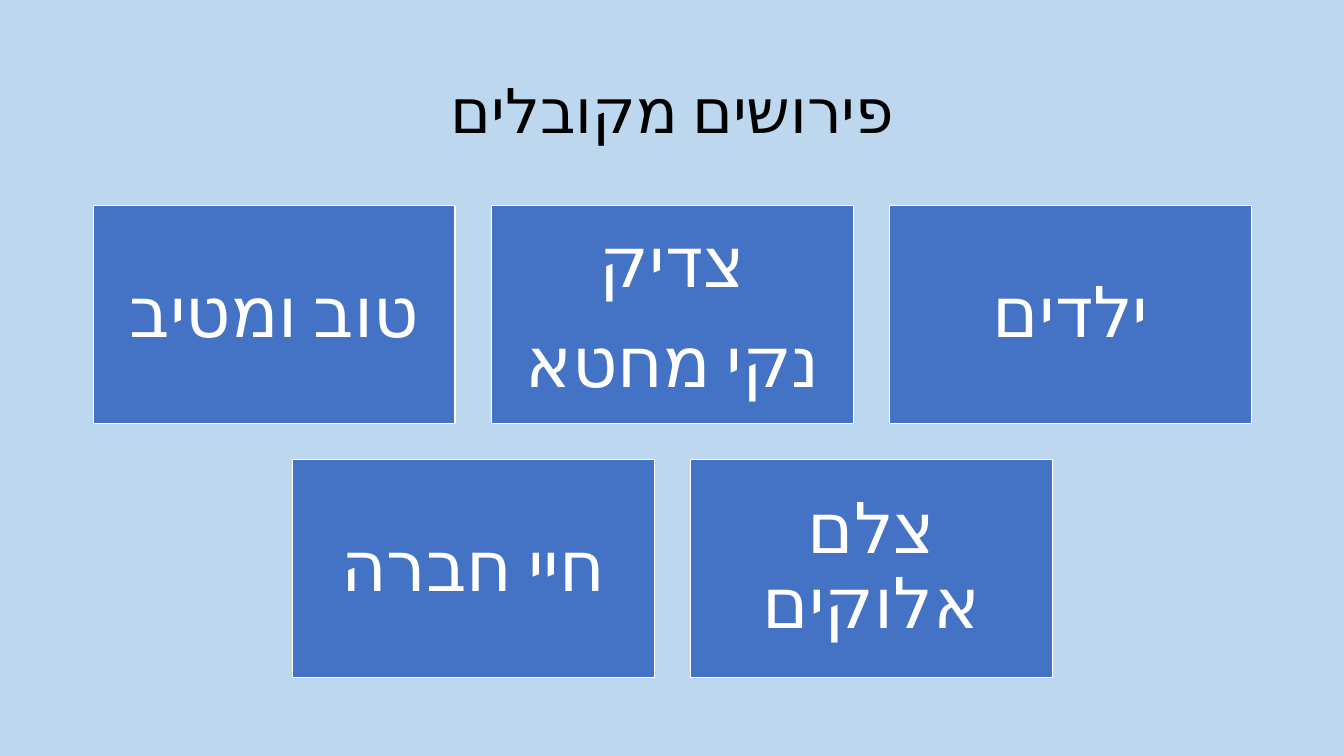
from lxml.etree import SubElement as Sub
from pptx import Presentation
from pptx.dml.color import RGBColor as Rgb
from pptx.enum.shapes import MSO_SHAPE as Kind
from pptx.enum.text import MSO_ANCHOR as Anchor, PP_ALIGN as Align
from pptx.oxml.ns import qn
from pptx.util import Inches, Pt

HUES = {"back": "BDD7EE", "card": "4472C4", "white": "FFFFFF", "black": "000000"}
FONT = "Calibri"
ROWS = [
    ["טוב ומטיב", "צדיק\nנקי מחטא", "ילדים"],
    ["חיי חברה", "צלם אלוקים"],
]


def hue(name):
    return Rgb.from_string(HUES[name])


def write(frame, text, size, color, after=0, inset=None):
    frame.word_wrap = True
    frame.vertical_anchor = Anchor.MIDDLE
    if inset is not None:
        frame.margin_left = frame.margin_right = Inches(inset)
        frame.margin_top = frame.margin_bottom = Inches(inset)
    for i, line in enumerate(text.split("\n")):
        para = frame.add_paragraph() if i else frame.paragraphs[0]
        para.alignment = Align.CENTER
        para.line_spacing = 0.9
        para.space_before = Pt(0)
        para.space_after = Pt(after)
        para._p.get_or_add_pPr().set("rtl", "1")
        run = para.add_run()
        run.text = line
        run.font.size = Pt(size)
        run.font.name = FONT
        run.font.color.rgb = hue(color)
        props = run._r.get_or_add_rPr()
        props.set("lang", "he-IL")
        Sub(props, qn("a:cs")).set("typeface", FONT)


def head(slide, left, top, width, height):
    title = slide.shapes.title
    title.left, title.top = Inches(left), Inches(top)
    title.width, title.height = Inches(width), Inches(height)
    write(title.text_frame, "פירושים מקובלים", 44, "black")


def card(slide, text, left, top, width, height):
    box = slide.shapes.add_shape(
        Kind.RECTANGLE, Inches(left), Inches(top), Inches(width), Inches(height)
    )
    box.shadow.inherit = False
    box.fill.solid()
    box.fill.fore_color.rgb = hue("card")
    box.line.color.rgb = hue("white")
    box.line.width = Pt(1)
    write(box.text_frame, text, 50, "white", after=17.5, inset=0.21)


def grid(slide, left, top, width, wide=3.59, high=2.16, gap=0.36):
    for r, row in enumerate(ROWS):
        span = len(row) * (wide + gap) - gap
        start = left + (width - span) / 2
        for c, text in enumerate(row):
            card(slide, text, start + c * (wide + gap), top + r * (high + gap), wide, high)


def main():
    deck = Presentation()
    deck.slide_width, deck.slide_height = Inches(13.33), Inches(7.5)
    slide = deck.slides.add_slide(deck.slide_layouts[5])
    slide.background.fill.solid()
    slide.background.fill.fore_color.rgb = hue("back")
    head(slide, 0.92, 0.4, 11.5, 1.45)
    grid(slide, 0.92, 2.04, 11.5)
    deck.save("out.pptx")


if __name__ == "__main__":
    main()
